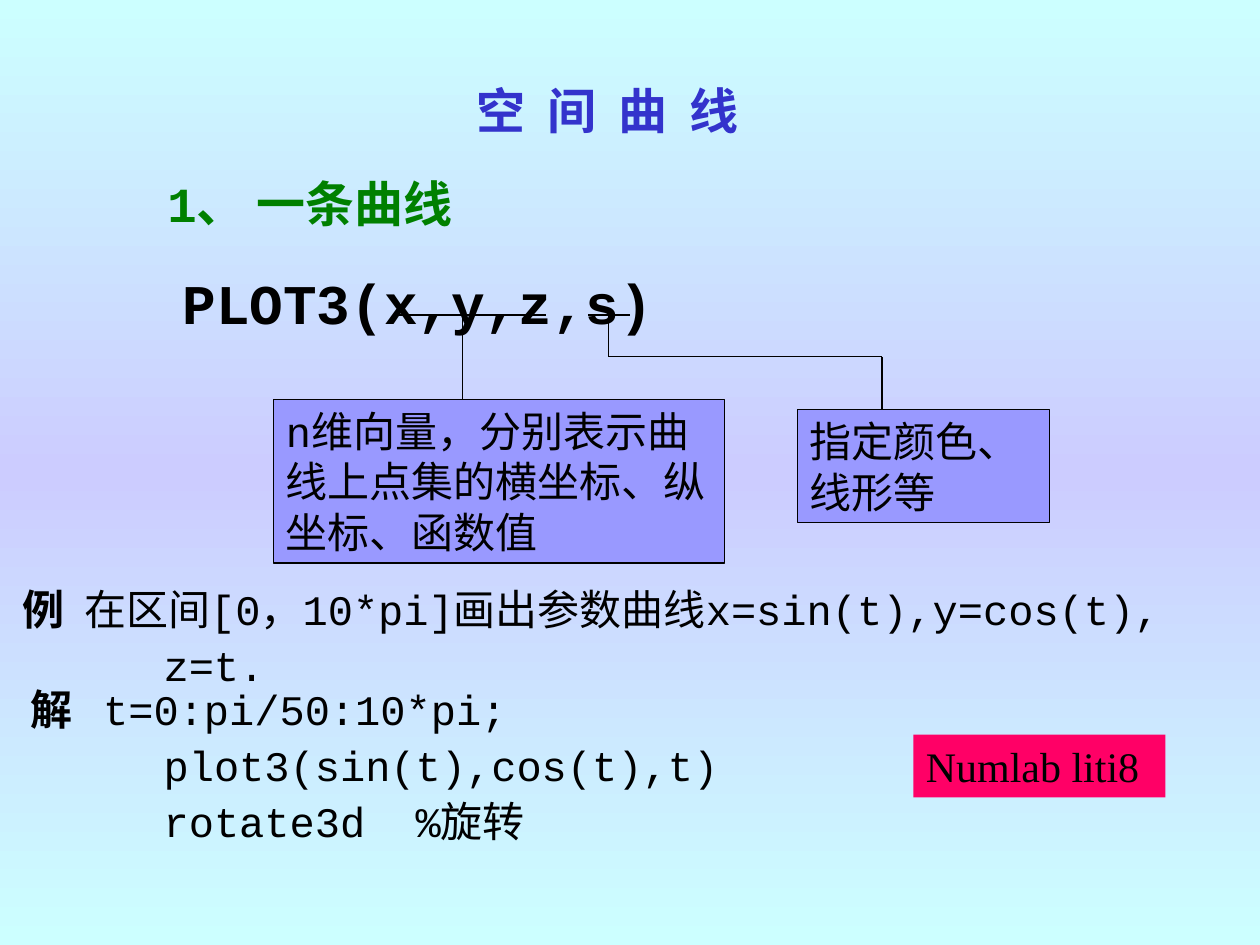
"""Build the slide on drawing a space curve with plot3."""
from copy import deepcopy
from dataclasses import dataclass

from lxml.etree import SubElement
from pptx import Presentation
from pptx.dml.color import RGBColor
from pptx.enum.shapes import MSO_CONNECTOR, MSO_SHAPE
from pptx.enum.text import MSO_ANCHOR, PP_ALIGN
from pptx.oxml.ns import qn
from pptx.util import Inches, Pt

COLORS = {"black": "000000", "title": "3333CC", "heading": "008000",
          "note": "9999FF", "button": "FF0066", "edge": "CCFFFF", "middle": "CCCCFF"}
MONO, SERIF = "Courier New", "Times New Roman"


@dataclass(frozen=True)
class Line:
    text: str
    label: str = ""
    left: float = 0
    hang: float = 0


@dataclass(frozen=True)
class TextBlock:
    place: tuple[float, float, float, float]
    lines: tuple[Line, ...]
    size: int = 24
    color: str = "black"
    font: str = MONO
    bold: bool = False
    fill: str = ""
    outline: bool = False
    top_inset: float = 0.05
    line_spacing: float = 1.0
    tracking: int = 0


BLOCKS = (
    TextBlock((0.33, 2, 9.67, 1), (Line("PLOT3(x,y,z,s)", left=1.02),),
              size=32, bold=True, top_inset=0.13),
    TextBlock((3.59, 0.59, 2.38, 0.57), (Line("空 间 曲 线", left=0.09),),
              size=28, color="title", bold=True, tracking=315),
    TextBlock((0, 1.33, 5.33, 0.57), (Line("1、 一条曲线", left=1.23),),
              size=28, color="heading", bold=True),
    TextBlock((0, 4.58, 10.83, 0.97),
              (Line("在区间[0，10*pi]画出参数曲线x=sin(t),y=cos(t),", "例", 0.57, 0.49),
               Line("z=t.", left=1.2)),
              top_inset=0.1, line_spacing=0.9),
    TextBlock((7.25, 5.83, 2, 0.5), (Line("Numlab liti8"),), font=SERIF, fill="button"),
    TextBlock((0, 5.42, 5.8, 1.35),
              (Line("t=0:pi/50:10*pi;", "解", 0.72, 0.58),
               Line("      plot3(sin(t),cos(t),t)"),
               Line("      rotate3d  %旋转")),
              line_spacing=0.9),
    TextBlock((2.17, 3.17, 3.58, 1.3),
              (Line("n维向量，分别表示曲线上点集的横坐标、纵坐标、函数值"),),
              fill="note", outline=True),
    TextBlock((6.33, 3.25, 2, 0.9), (Line("指定颜色、线形等"),), fill="note", outline=True),
)
LEADERS = (
    ((3.17, 2.5), (4.33, 2.5)),
    ((3.67, 2.5), (3.67, 3.17)),
    ((4.67, 2.5), (5, 2.5)),
    ((4.83, 2.5), (4.83, 2.83), (7, 2.83), (7, 3.25)),
)


def rgb(name: str) -> RGBColor:
    """Look up a named colour."""
    return RGBColor.from_string(COLORS[name])


def paint_background(page) -> None:
    """Fill the page with a vertical three-stop gradient."""
    fill = page.background.fill
    fill.gradient()
    fill.gradient_angle = 90
    stops = page.background._cSld.find(".//" + qn("a:gsLst"))
    stops.append(deepcopy(stops[-1]))
    for stop, position, name in zip(fill.gradient_stops, (0, 0.5, 1), ("edge", "middle", "edge")):
        stop.color.rgb = rgb(name)
        stop.position = position


def write_line(para, line: Line, block: TextBlock) -> None:
    """Write one paragraph, with a bold label in a hanging indent if it has one."""
    properties = para._p.get_or_add_pPr()
    properties.set("marL", str(Inches(line.left)))
    properties.set("indent", str(-Inches(line.hang)))
    para.alignment = PP_ALIGN.LEFT
    para.line_spacing = block.line_spacing
    if line.label:
        label = para.add_run()
        label.text = line.label + "\t"
        label.font.bold = True
    span = para.add_run()
    span.text = line.text
    span.font.bold = block.bold
    for run in para.runs:
        run.font.name = block.font
        run.font.size = Pt(block.size)
        run.font.color.rgb = rgb(block.color)
        if block.tracking:
            run._r.get_or_add_rPr().set("spc", str(block.tracking))


def add_block(page, block: TextBlock) -> None:
    """Add a text box, or a filled rectangle with text."""
    place = [Inches(length) for length in block.place]
    if block.fill:
        box = page.shapes.add_shape(MSO_SHAPE.RECTANGLE, *place)
        box.shadow.inherit = False
        box.fill.solid()
        box.fill.fore_color.rgb = rgb(block.fill)
        if block.outline:
            box.line.color.rgb = rgb("black")
            box.line.width = Pt(0.75)
        else:
            box.line.fill.background()
    else:
        box = page.shapes.add_textbox(*place)
    frame = box.text_frame
    frame.word_wrap = True
    frame.vertical_anchor = MSO_ANCHOR.TOP
    frame.margin_top = Inches(block.top_inset)
    for index, line in enumerate(block.lines):
        para = frame.add_paragraph() if index else frame.paragraphs[0]
        write_line(para, line, block)
        if index:
            para.space_before = Pt(6)


def add_leader(page, points: tuple[tuple[float, float], ...]) -> None:
    """Join consecutive points with straight connectors."""
    for start, end in zip(points, points[1:]):
        leader = page.shapes.add_connector(
            MSO_CONNECTOR.STRAIGHT, *(Inches(length) for length in start + end))
        leader.line.color.rgb = rgb("black")
        leader.line.width = Pt(0.75)
        SubElement(leader._element.spPr, qn("a:effectLst"))


def main() -> None:
    """Build and save the deck."""
    deck = Presentation()
    deck.slide_width, deck.slide_height = Inches(10), Inches(7.5)
    page = deck.slides.add_slide(deck.slide_layouts[6])
    paint_background(page)
    for block in BLOCKS:
        add_block(page, block)
    for points in LEADERS:
        add_leader(page, points)
    deck.save("out.pptx")


if __name__ == "__main__":
    main()
